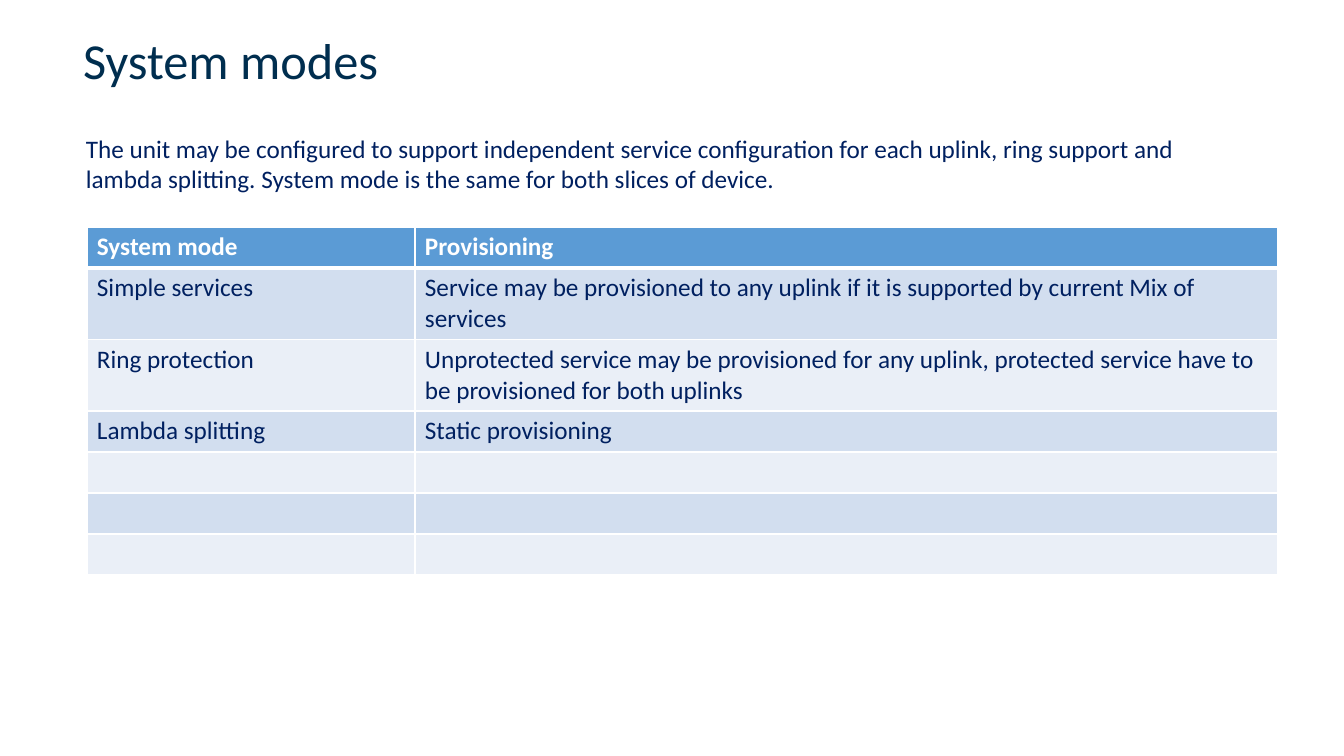
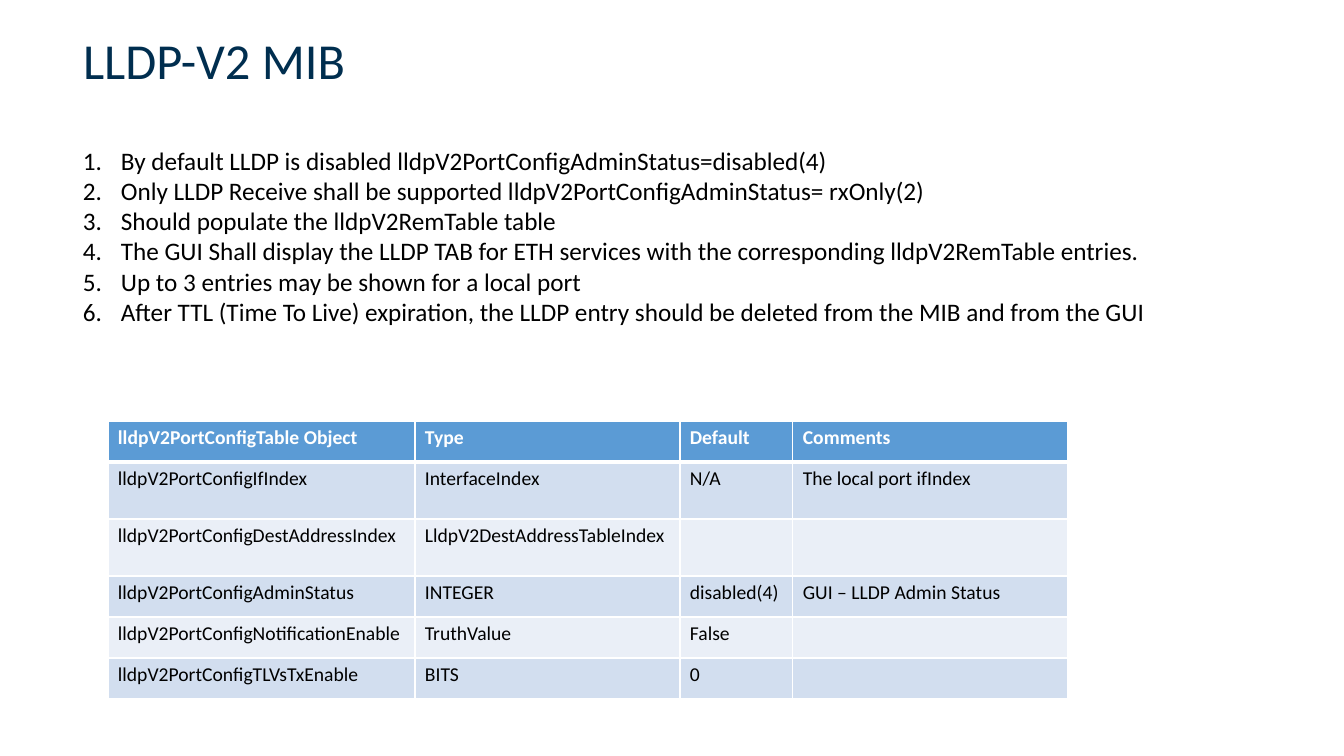
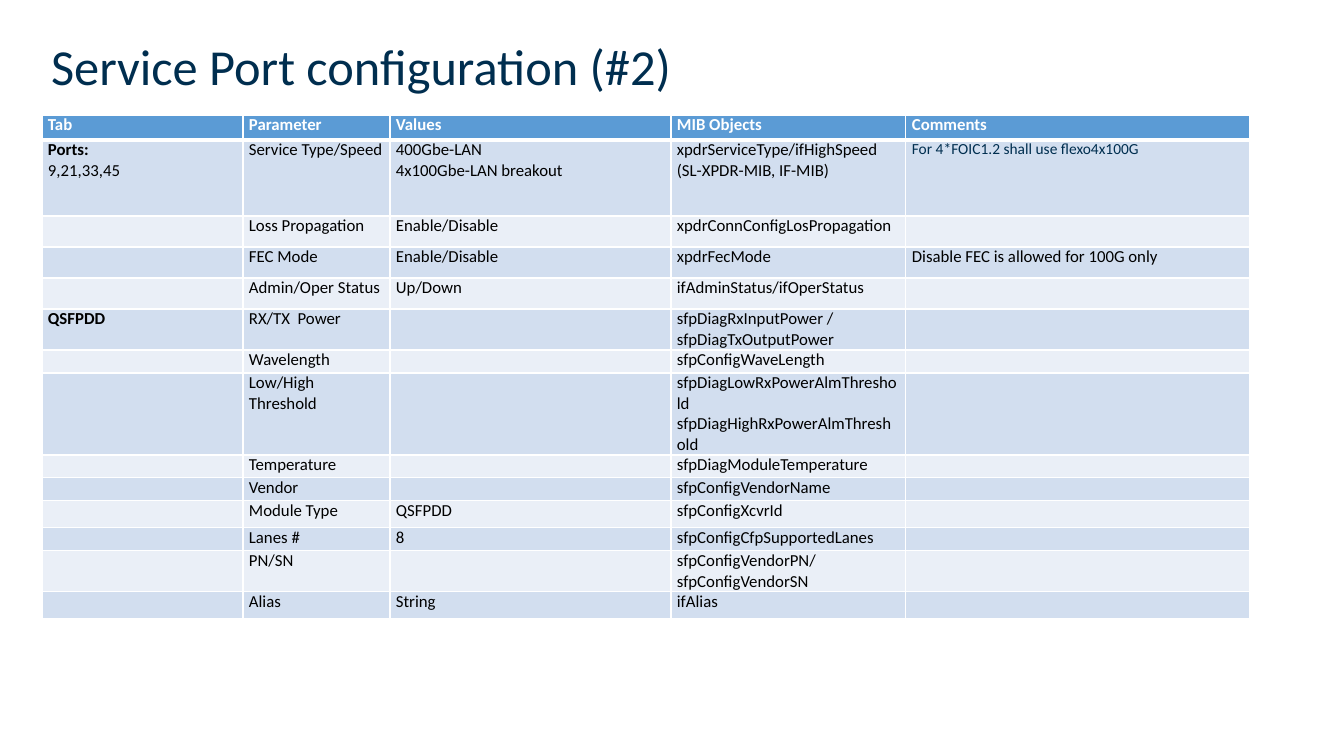
from lxml import etree
from pptx import Presentation
from pptx.dml.color import RGBColor
from pptx.enum.text import MSO_ANCHOR, PP_ALIGN
from pptx.oxml.ns import qn
from pptx.util import Pt

PX = 914400 / 100.8
FONT = "Calibri"
LEFT = PP_ALIGN.LEFT
MIDDLE = MSO_ANCHOR.MIDDLE
TITLE_ONLY = 5

WHITE = RGBColor(0xFF, 0xFF, 0xFF)
BLACK = RGBColor(0x00, 0x00, 0x00)
TITLE_BLUE = RGBColor(0x00, 0x2E, 0x4F)
NAVY = RGBColor(0x00, 0x20, 0x60)
HEADER_BLUE = RGBColor(0x5B, 0x9B, 0xD5)
BANDS = (RGBColor(0xEA, 0xEF, 0xF7), RGBColor(0xD2, 0xDE, 0xEF))

TITLE_BOX = (73, 9, 1103, 100)

MODE_ROWS = [
    ("System mode", "Provisioning"),
    ("Simple services",
     "Service may be provisioned to any uplink if it is supported by current Mix of services"),
    ("Ring protection",
     "Unprotected service may be provisioned for any uplink, protected service have to "
     "be provisioned for both uplinks"),
    ("Lambda splitting", "Static provisioning"),
    ("", ""),
    ("", ""),
    ("", ""),
]

LLDP_RULES = [
    "By default LLDP is disabled lldpV2PortConfigAdminStatus=disabled(4)",
    "Only LLDP Receive shall be supported lldpV2PortConfigAdminStatus= rxOnly(2)",
    "Should populate the lldpV2RemTable table",
    "The GUI Shall display the LLDP TAB for ETH services with the corresponding "
    "lldpV2RemTable entries.",
    "Up to 3 entries may be shown for a local port",
    "After TTL (Time To Live) expiration, the LLDP entry should be deleted from the MIB "
    "and from the GUI",
]

LLDP_ROWS = [
    ("lldpV2PortConfigTable Object", "Type", "Default", "Comments"),
    ("lldpV2PortConfigIfIndex", "InterfaceIndex", "N/A", "The local port ifIndex"),
    ("lldpV2PortConfigDestAddressIndex", "LldpV2DestAddressTableIndex", "", ""),
    ("lldpV2PortConfigAdminStatus", "INTEGER", "disabled(4)", "GUI – LLDP Admin Status"),
    ("lldpV2PortConfigNotificationEnable", "TruthValue", "False", ""),
    ("lldpV2PortConfigTLVsTxEnable", "BITS", "0", ""),
]

PORT_ROWS = [
    ("Tab", "Parameter", "Values", "MIB Objects", "Comments"),
    ("Ports:\n9,21,33,45", "Service Type/Speed", "400Gbe-LAN\n4x100Gbe-LAN breakout",
     "xpdrServiceType/ifHighSpeed\n(SL-XPDR-MIB, IF-MIB)",
     "For 4*FOIC1.2 shall use flexo4x100G"),
    ("", "Loss Propagation", "Enable/Disable", "xpdrConnConfigLosPropagation", ""),
    ("", "FEC Mode", "Enable/Disable", "xpdrFecMode", "Disable FEC is allowed for 100G only"),
    ("", "Admin/Oper Status", "Up/Down", "ifAdminStatus/ifOperStatus", ""),
    ("QSFPDD", "RX/TX  Power", "", "sfpDiagRxInputPower / sfpDiagTxOutputPower", ""),
    ("", "Wavelength", "", "sfpConfigWaveLength", ""),
    ("", "Low/High Threshold", "",
     "sfpDiagLowRxPowerAlmThreshold sfpDiagHighRxPowerAlmThreshold", ""),
    ("", "Temperature", "", "sfpDiagModuleTemperature", ""),
    ("", "Vendor", "", "sfpConfigVendorName", ""),
    ("", "Module Type", "QSFPDD", "sfpConfigXcvrId", ""),
    ("", "Lanes #", "8", "sfpConfigCfpSupportedLanes", ""),
    ("", "PN/SN", "", "sfpConfigVendorPN/sfpConfigVendorSN", ""),
    ("", "Alias", "String", "ifAlias", ""),
]


def px(length):
    """Turn a length in px into EMU."""
    return round(length * PX)


def style_paragraph(paragraph, size, color, bold=False):
    """Set the font of a whole paragraph."""
    font = paragraph.font
    font.name = FONT
    font.size = Pt(size)
    font.bold = bold
    font.color.rgb = color


def add_titled_slide(presentation, title, box=TITLE_BOX):
    """Add a slide with its title placed in the given box."""
    slide = presentation.slides.add_slide(presentation.slide_layouts[TITLE_ONLY])
    shape = slide.shapes.title
    shape.left, shape.top, shape.width, shape.height = map(px, box)
    frame = shape.text_frame
    frame.text = title
    frame.vertical_anchor = MIDDLE
    paragraph = frame.paragraphs[0]
    paragraph.alignment = LEFT
    style_paragraph(paragraph, 36, TITLE_BLUE)
    return slide


def number_paragraph(paragraph, indent):
    """Give a paragraph an automatic number and a hanging indent."""
    properties = paragraph._p.get_or_add_pPr()
    properties.set("marL", str(px(indent)))
    properties.set("indent", str(-px(indent)))
    etree.SubElement(properties, qn("a:buFont"), typeface="+mj-lt")
    etree.SubElement(properties, qn("a:buAutoNum"), type="arabicPeriod")


def add_body_text(slide, box, lines, color, numbered=False):
    """Add a text box of 18 point paragraphs, numbered if asked."""
    frame = slide.shapes.add_textbox(*map(px, box)).text_frame
    frame.word_wrap = True
    frame.text = "\n".join(lines)
    for paragraph in frame.paragraphs:
        if numbered:
            number_paragraph(paragraph, 38)
        style_paragraph(paragraph, 18, color)


def set_cell_borders(cell, bottom):
    """Draw white cell borders with the given bottom width in points."""
    properties = cell._tc.get_or_add_tcPr()
    for side, width in (("L", 1), ("R", 1), ("T", 1), ("B", bottom)):
        line = etree.SubElement(properties, qn(f"a:ln{side}"), w=str(Pt(width)))
        fill = etree.SubElement(line, qn("a:solidFill"))
        etree.SubElement(fill, qn("a:srgbClr"), val=str(WHITE))


def fill_cell(cell, text, size, color, background, bold, bottom):
    """Write and format one table cell."""
    set_cell_borders(cell, bottom)
    cell.fill.solid()
    cell.fill.fore_color.rgb = background
    cell.text = text
    for paragraph in cell.text_frame.paragraphs:
        style_paragraph(paragraph, size, color, bold)
        if not text:
            etree.SubElement(paragraph._p, qn("a:endParaRPr"), sz=str(size * 100))


def add_banded_table(slide, corner, widths, heights, rows, size, color, margins=(10, 5)):
    """Add a table with a blue header and banded rows at the given corner."""
    left, top = corner
    table = slide.shapes.add_table(
        len(rows), len(widths), px(left), px(top), px(sum(widths)), px(sum(heights))).table
    for column, width in zip(table.columns, widths):
        column.width = px(width)
    for index, (row, height, texts) in enumerate(zip(table.rows, heights, rows)):
        row.height = px(height)
        header = index == 0
        for cell, text in zip(row.cells, texts):
            cell.margin_left = cell.margin_right = px(margins[0])
            cell.margin_top = cell.margin_bottom = px(margins[1])
            fill_cell(cell, text, size,
                      WHITE if header else color,
                      HEADER_BLUE if header else BANDS[index % 2],
                      header, 3 if header else 1)
    return table


def build_system_modes(presentation):
    """Build the slide on system modes."""
    slide = add_titled_slide(presentation, "System modes")
    add_banded_table(slide, (87, 227), (328, 863), [41] * len(MODE_ROWS), MODE_ROWS, 18, NAVY)
    add_body_text(slide, (76, 128, 1175, 72), [
        "The unit may be configured to support independent service configuration for each "
        "uplink, ring support and lambda splitting. System mode is the same for both slices "
        "of device."], NAVY)


def build_lldp_mib(presentation):
    """Build the slide on the LLDP MIB."""
    slide = add_titled_slide(presentation, "LLDP-V2 MIB")
    add_body_text(slide, (73, 140, 1169, 224), LLDP_RULES, BLACK, numbered=True)
    add_banded_table(slide, (108, 421), (307, 265, 113, 275), (41, 57, 57, 41, 41, 41),
                     LLDP_ROWS, 14, BLACK)


def build_port_configuration(presentation):
    """Build the slide on service port configuration."""
    slide = add_titled_slide(
        presentation, "Service Port configuration (#2)", (41, 27, 1103, 76))
    heights = (25, 76, 31, 31, 31, 41, 23, 82, 23, 23, 27, 23, 41, 27)
    table = add_banded_table(slide, (42, 115), (201, 147, 281, 235, 344), heights,
                             PORT_ROWS, 12, BLACK, (6, 0))
    for row in (1, 5):
        table.cell(row, 0).text_frame.paragraphs[0].font.bold = True
    style_paragraph(table.cell(1, 4).text_frame.paragraphs[0], 11, TITLE_BLUE)


def main():
    """Build and save the presentation."""
    presentation = Presentation()
    presentation.slide_width = px(1344)
    presentation.slide_height = px(756)
    build_system_modes(presentation)
    build_lldp_mib(presentation)
    build_port_configuration(presentation)
    presentation.save("out.pptx")


if __name__ == "__main__":
    main()
